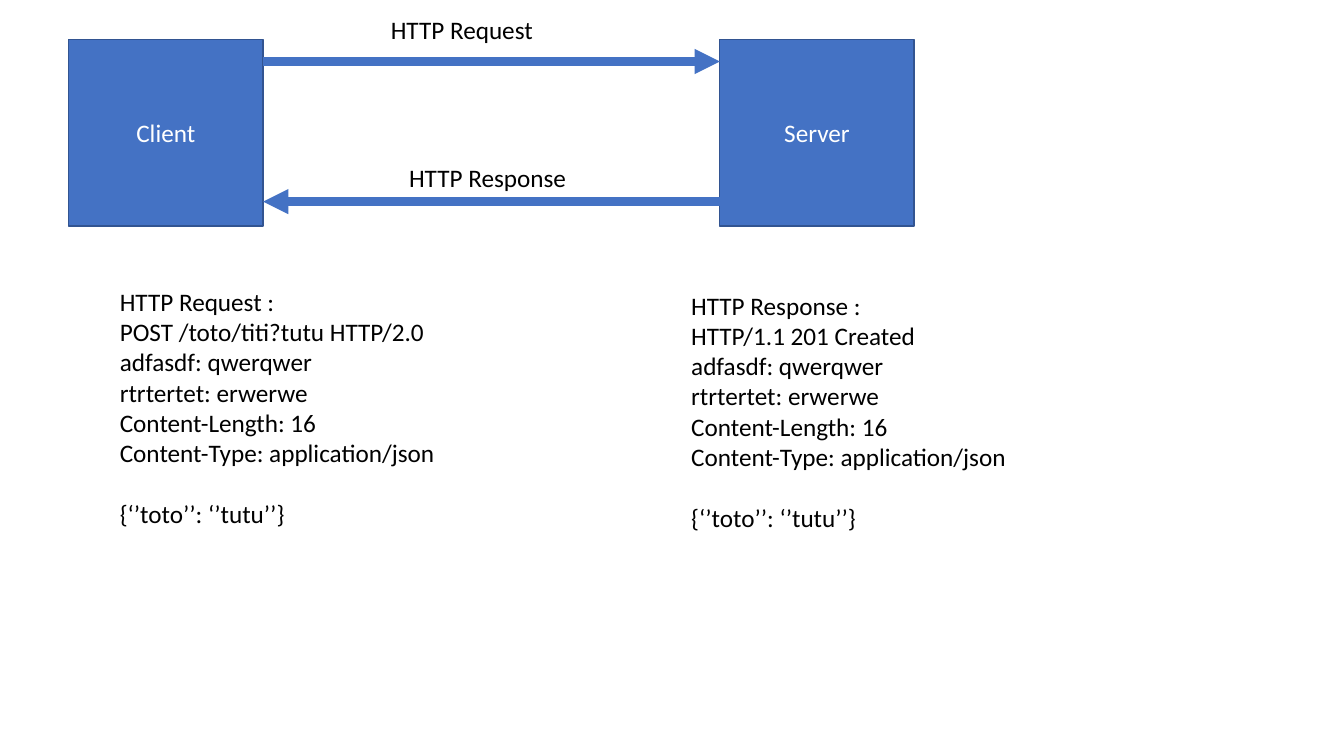
from pptx import Presentation
from pptx.dml.color import RGBColor
from pptx.enum.shapes import MSO_CONNECTOR, MSO_SHAPE
from pptx.enum.text import MSO_ANCHOR, MSO_AUTO_SIZE, PP_ALIGN
from pptx.oxml.ns import qn
from pptx.util import Cm, Pt
from lxml import etree


def rgb(value):
    return RGBColor.from_string(value)


class ExchangeSlide:
    """Draws the elements of a client-server exchange in one style."""

    FONT, SIZE = "Calibri", Pt(18)
    BLUE, BORDER, BLACK, WHITE = "4472C4", "325491", "000000", "FFFFFF"
    BLANK_LINE = Pt(22)

    def __init__(self, prs):
        self.slide = prs.slides.add_slide(prs.slide_layouts[6])

    def styled_run(self, paragraph, text, color):
        run = paragraph.add_run()
        run.text = text
        run.font.name, run.font.size = self.FONT, self.SIZE
        run.font.color.rgb = rgb(color)

    def node(self, name, left, top, width, height):
        shape = self.slide.shapes.add_shape(
            MSO_SHAPE.RECTANGLE, Cm(left), Cm(top), Cm(width), Cm(height))
        shape.shadow.inherit = False
        shape.fill.solid()
        shape.fill.fore_color.rgb = rgb(self.BLUE)
        shape.line.color.rgb = rgb(self.BORDER)
        shape.line.width = Pt(1)
        frame = shape.text_frame
        frame.vertical_anchor = MSO_ANCHOR.MIDDLE
        frame.paragraphs[0].alignment = PP_ALIGN.CENTER
        self.styled_run(frame.paragraphs[0], name, self.WHITE)

    def arrow(self, start, end, y):
        connector = self.slide.shapes.add_connector(
            MSO_CONNECTOR.STRAIGHT, Cm(start), Cm(y), Cm(end), Cm(y))
        connector.line.color.rgb = rgb(self.BLUE)
        connector.line.width = Pt(6)
        properties = connector._element.spPr
        etree.SubElement(properties.find(qn("a:ln")), qn("a:tailEnd"), type="triangle")
        etree.SubElement(properties, qn("a:effectLst"))

    def text(self, lines, left, top, width, height):
        box = self.slide.shapes.add_textbox(Cm(left), Cm(top), Cm(width), Cm(height))
        frame = box.text_frame
        frame.word_wrap = False
        frame.auto_size = MSO_AUTO_SIZE.SHAPE_TO_FIT_TEXT
        for index, line in enumerate(lines):
            paragraph = frame.add_paragraph() if index else frame.paragraphs[0]
            self.styled_run(paragraph, line, self.BLACK)
        return frame

    def message(self, title, start_line, left, top):
        frame = self.text([title, start_line, *HEADERS, BODY], left, top, 8.56, 6.4)
        frame.paragraphs[-1].space_before = self.BLANK_LINE


HEADERS = ["adfasdf: qwerqwer", "rtrtertet: erwerwe",
           "Content-Length: 16", "Content-Type: application/json"]
BODY = "{‘’toto’’: ‘’tutu’’}"
CLIENT_LEFT, SERVER_LEFT = 1.73, 18.14
NODE_TOP, NODE_WIDTH, NODE_HEIGHT = 1, 4.9, 4.7
CLIENT_RIGHT = CLIENT_LEFT + NODE_WIDTH

prs = Presentation()
prs.slide_width, prs.slide_height = Cm(33.87), Cm(19.05)
exchange = ExchangeSlide(prs)

for name, left in (("Client", CLIENT_LEFT), ("Server", SERVER_LEFT)):
    exchange.node(name, left, NODE_TOP, NODE_WIDTH, NODE_HEIGHT)

exchange.arrow(CLIENT_RIGHT, SERVER_LEFT, 1.55)
exchange.text(["HTTP Request"], 9.6, 0.23, 4.14, 1.02)
exchange.arrow(SERVER_LEFT, CLIENT_RIGHT, 5.08)
exchange.text(["HTTP Response"], 10.06, 3.97, 4.52, 1.02)

exchange.message("HTTP Request :", "POST /toto/titi?tutu HTTP/2.0", 2.77, 7.09)
exchange.message("HTTP Response :", "HTTP/1.1 201 Created", 17.17, 7.18)

prs.save("out.pptx")
